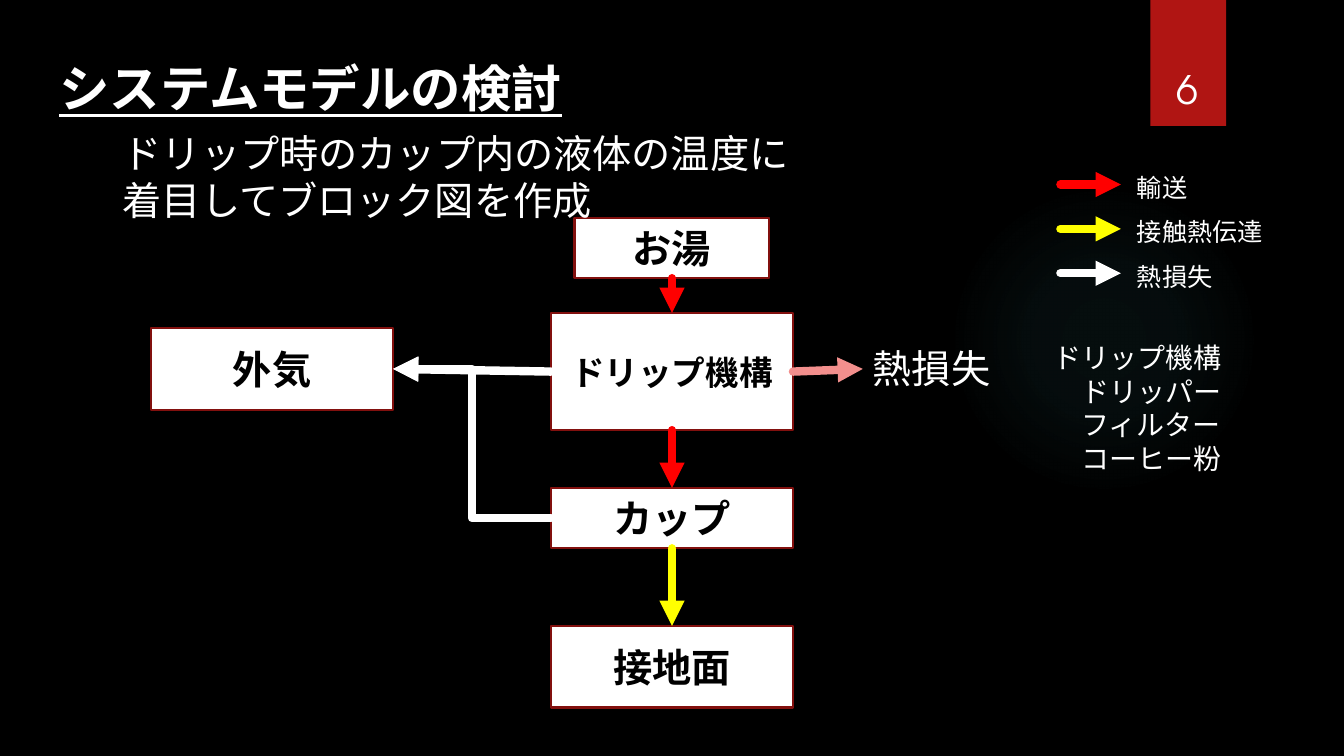
from lxml import etree
from pptx import Presentation
from pptx.dml.color import RGBColor
from pptx.enum.shapes import MSO_CONNECTOR, MSO_SHAPE
from pptx.enum.text import MSO_ANCHOR, PP_ALIGN
from pptx.oxml import parse_xml
from pptx.oxml.ns import nsdecls, qn
from pptx.util import Inches, Pt

RECT, OVAL = MSO_SHAPE.RECTANGLE, MSO_SHAPE.OVAL
STRAIGHT, ELBOW = MSO_CONNECTOR.STRAIGHT, MSO_CONNECTOR.ELBOW
LEFT, CENTER = PP_ALIGN.LEFT, PP_ALIGN.CENTER
TOP, MIDDLE, BOTTOM = MSO_ANCHOR.TOP, MSO_ANCHOR.MIDDLE, MSO_ANCHOR.BOTTOM
SIDE_TOP, SIDE_LEFT, SIDE_BOTTOM, SIDE_RIGHT = range(4)

WIDTH, HEIGHT = Inches(13.33), Inches(7.5)
FONT = "TeX Gyre Adventor"
BLACK, WHITE, RED, YELLOW = "000000", "FFFFFF", "FF0000", "FFFF00"
PINK, RIBBON, BORDER, GLOW = "F38F8D", "B01513", "82100E", "50B9C1"
BLOCK_WIDTH = 18
FLOW_CENTER, AIR_CENTER = 50, 20.25


def rgb(code):
    """Turn a hex string into a colour."""
    return RGBColor.from_string(code)


def across(share):
    """Length for a percentage of the slide's width."""
    return round(WIDTH * share / 100)


def down(share):
    """Length for a percentage of the slide's height."""
    return round(HEIGHT * share / 100)


def area(left, top, width, height):
    """Place and size from percentages of the slide."""
    return across(left), down(top), across(width), down(height)


def write(frame, lines, size, color=WHITE, bold=False, align=LEFT, anchor=TOP):
    """Fill a text frame with one paragraph per line."""
    frame.vertical_anchor = anchor
    frame.text = "\n".join(lines)
    for paragraph in frame.paragraphs:
        paragraph.alignment = align
        font = paragraph.font
        font.name, font.size, font.bold = FONT, Pt(size), bold
        font.color.rgb = rgb(color)


def add_label(slide, place, lines, size, wrap=False, **style):
    """Add a text box and return its paragraphs."""
    frame = slide.shapes.add_textbox(*area(*place)).text_frame
    frame.word_wrap = wrap
    write(frame, lines, size, **style)
    return frame.paragraphs


def add_plain(slide, kind, place, fill):
    """Add a flat shape without outline."""
    shape = slide.shapes.add_shape(kind, *area(*place))
    shape.shadow.inherit = False
    shape.fill.solid()
    shape.fill.fore_color.rgb = rgb(fill)
    shape.line.fill.background()
    return shape


def add_glow(slide, place):
    """Add the faint round light that fades outwards."""
    glow = add_plain(slide, OVAL, place, GLOW)
    stops = "".join(
        f'<a:gs pos="{pos}000"><a:srgbClr val="{GLOW}">'
        f'<a:alpha val="{alpha}000"/></a:srgbClr></a:gs>'
        for pos, alpha in ((0, 7), (36, 6), (69, 0), (100, 0)))
    gradient = parse_xml(
        f'<a:gradFill {nsdecls("a")}><a:gsLst>{stops}</a:gsLst>'
        '<a:path path="circle"><a:fillToRect l="50000" t="50000" '
        'r="50000" b="50000"/></a:path></a:gradFill>')
    properties = glow.element.spPr
    properties.replace(properties.find(qn("a:solidFill")), gradient)


def add_block(slide, name, center, top, height, width=BLOCK_WIDTH, size=28):
    """Add a white block of the diagram."""
    block = add_plain(slide, RECT, (center - width / 2, top, width, height), WHITE)
    block.line.color.rgb = rgb(BORDER)
    block.line.width = Pt(1.5)
    write(block.text_frame, [name], size, BLACK, True, CENTER, MIDDLE)
    return block


def add_arrow(slide, color, start=(0, 0), end=(0, 0), source=None, target=None,
              kind=STRAIGHT):
    """Add a thick arrow between points or (block, side) pairs."""
    arrow = slide.shapes.add_connector(
        kind, across(start[0]), down(start[1]), across(end[0]), down(end[1]))
    if source:
        arrow.begin_connect(*source)
    if target:
        arrow.end_connect(*target)
    arrow.line.color.rgb = rgb(color)
    arrow.line.width = Pt(6)
    properties = arrow.element.spPr
    outline = properties.find(qn("a:ln"))
    outline.set("cap", "rnd")
    etree.SubElement(outline, qn("a:round"))
    etree.SubElement(outline, qn("a:tailEnd"), type="triangle")
    etree.SubElement(properties, qn("a:effectLst"))


def add_diagram(slide):
    """Add the blocks and the heat paths between them."""
    water = add_block(slide, "お湯", FLOW_CENTER, 28.8, 8, width=14.5)
    dripper = add_block(slide, "ドリップ機構", FLOW_CENTER, 41.4, 15.5, size=24)
    cup = add_block(slide, "カップ", FLOW_CENTER, 64.53, 8)
    ground = add_block(slide, "接地面", FLOW_CENTER, 82.8, 10.8)
    air = add_block(slide, "外気", AIR_CENTER, 43.4, 10.8)
    for upper, lower, color in ((water, dripper, RED), (dripper, cup, RED),
                                (cup, ground, YELLOW)):
        add_arrow(slide, color, source=(upper, SIDE_BOTTOM), target=(lower, SIDE_TOP))
    add_arrow(slide, PINK, end=(64.2, 48.8), source=(dripper, SIDE_RIGHT))
    for origin, kind in ((dripper, STRAIGHT), (cup, ELBOW)):
        add_arrow(slide, WHITE, source=(origin, SIDE_LEFT),
                  target=(air, SIDE_RIGHT), kind=kind)
    add_label(slide, (64.2, 44.93, 16.2, 7.6), ["熱損失"], 28, wrap=True)


def add_legend(slide):
    """Add the key to the arrow colours."""
    entries = (("輸送", RED, 5.3), ("接触熱伝達", YELLOW, 10.95), ("熱損失", WHITE, 7.2))
    for row, (meaning, color, width) in enumerate(entries):
        y = 24.4 + 5.87 * row
        add_arrow(slide, color, (78.9, y), (83.4, y))
        add_label(slide, (83.85, y - 2.3, width, 5.33), [meaning], 18)


def main():
    """Build the slide and save it."""
    deck = Presentation()
    deck.slide_width, deck.slide_height = WIDTH, HEIGHT
    slide = deck.slides.add_slide(deck.slide_layouts[6])
    slide.background.fill.solid()
    slide.background.fill.fore_color.rgb = rgb(BLACK)

    add_glow(slide, (70.6, 24.4, 23.1, 41.07))
    add_plain(slide, RECT, (85.6, 0, 5.63, 16.67), RIBBON)
    add_diagram(slide)
    add_legend(slide)
    add_label(slide, (84.9, 4.27, 6.9, 11.2), ["6"], 28, wrap=True,
              align=CENTER, anchor=BOTTOM)
    add_label(slide, (8.4, 16.4, 51.6, 13.87),
              ["ドリップ時のカップ内の液体の温度に", "着目してブロック図を作成"], 28)
    title = add_label(slide, (3.68, 6.93, 39.4, 9.47),
                      ["システムモデルの検討"], 36, bold=True)
    title[0].font.underline = True
    parts = add_label(slide, (77.63, 44.4, 14.1, 19.33),
                      ["ドリップ機構", "ドリッパー", "フィルター", "コーヒー粉"], 20)
    for part in parts[1:]:
        part._p.get_or_add_pPr().set("marL", str(Pt(20)))
    deck.save("out.pptx")


if __name__ == "__main__":
    main()
